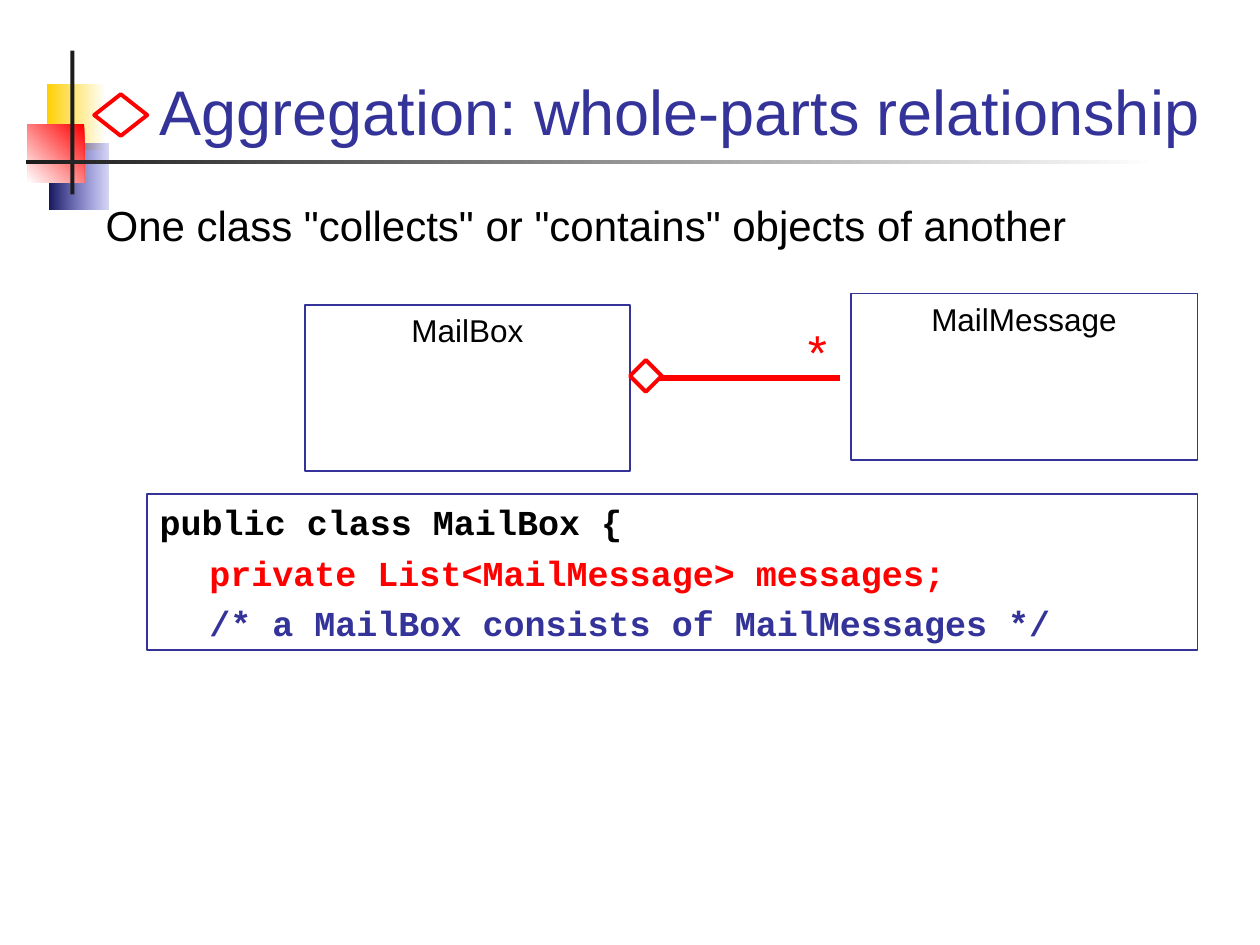
from dataclasses import dataclass

from lxml import etree
from pptx import Presentation
from pptx import util as u
from pptx.dml.color import RGBColor
from pptx.enum import shapes, text
from pptx.oxml import ns


@dataclass(frozen=True)
class Theme:
    ink: str = "000000"
    navy: str = "333399"
    red: str = "FF0000"
    white: str = "FFFFFF"
    yellow: str = "FFCF01"
    midnight: str = "17175E"
    violet: str = "3333CC"
    charcoal: str = "1C1C1C"
    sans: str = "Arial"
    mono: str = "Courier New"
    title: int = 36
    body: int = 24
    star: int = 28
    code: int = 20
    label: int = 18
    border: float = 1
    diamond: float = 2.25
    link: float = 3


class SlideBuilder:
    def __init__(self, slide, theme):
        self.slide = slide
        self.theme = theme

    def shape(self, place, kind=shapes.MSO_SHAPE.RECTANGLE, fill=None, line=None, weight=1):
        item = self.slide.shapes.add_shape(kind, *map(u.Cm, place))
        item.shadow.inherit = False
        if fill:
            item.fill.solid()
            item.fill.fore_color.rgb = RGBColor.from_string(fill)
        else:
            item.fill.background()
        if line:
            item.line.color.rgb = RGBColor.from_string(line)
            item.line.width = u.Pt(weight)
        else:
            item.line.fill.background()
        return item

    def gradient(self, place, start, end, angle=180, start_opacity=100):
        item = self.shape(place)
        item.fill.gradient()
        item.fill.gradient_angle = angle
        for stop, color in zip(item.fill.gradient_stops, (start, end)):
            stop.color.rgb = RGBColor.from_string(color)
        if start_opacity < 100:
            first_color = item.element.spPr.find(".//" + ns.qn("a:srgbClr"))
            alpha = etree.SubElement(first_color, ns.qn("a:alpha"))
            alpha.set("val", str(start_opacity * 1000))

    def diamond(self, place):
        self.shape(place, shapes.MSO_SHAPE.DIAMOND, self.theme.white,
                   self.theme.red, self.theme.diamond)

    def set_text(self, item, lines, size, font, align=text.PP_ALIGN.LEFT,
                 anchor=text.MSO_ANCHOR.TOP, bold=False, gap=0, left_inset=0.25):
        frame = item.text_frame
        frame.word_wrap = True
        frame.vertical_anchor = anchor
        frame.margin_left = u.Cm(left_inset)
        frame.margin_right = u.Cm(0.25)
        frame.margin_top = frame.margin_bottom = u.Cm(0.13)
        for number, (content, color, indent) in enumerate(lines):
            paragraph = frame.add_paragraph() if number else frame.paragraphs[0]
            paragraph.text = content
            paragraph.alignment = align
            if number:
                paragraph.space_before = u.Pt(gap)
            if indent:
                paragraph._p.get_or_add_pPr().set("marL", str(u.Cm(indent)))
            paragraph.font.name = font
            paragraph.font.size = u.Pt(size)
            paragraph.font.bold = bold
            paragraph.font.color.rgb = RGBColor.from_string(color)

    def label(self, place, content, size, color, **style):
        item = self.slide.shapes.add_textbox(*map(u.Cm, place))
        self.set_text(item, [(content, color, 0)], size, self.theme.sans, **style)

    def panel(self, place, lines, size, font, **style):
        item = self.shape(place, line=self.theme.navy, weight=self.theme.border)
        self.set_text(item, lines, size, font, **style)

    def class_box(self, place, name):
        self.panel(place, [(name, self.theme.ink, 0)], self.theme.label,
                   self.theme.sans, align=text.PP_ALIGN.CENTER)

    def aggregation(self, start, end, y):
        link = self.slide.shapes.add_connector(
            shapes.MSO_CONNECTOR.STRAIGHT, u.Cm(start), u.Cm(y), u.Cm(end), u.Cm(y))
        link.line.color.rgb = RGBColor.from_string(self.theme.red)
        link.line.width = u.Pt(self.theme.link)
        outline = link._element.spPr.find(ns.qn("a:ln"))
        etree.SubElement(outline, ns.qn("a:headEnd")).set("type", "diamond")
        etree.SubElement(link._element.spPr, ns.qn("a:effectLst"))


def main():
    deck = Presentation()
    deck.slide_width, deck.slide_height = u.Cm(25.4), u.Cm(19.05)
    theme = Theme()
    page = SlideBuilder(deck.slides.add_slide(deck.slide_layouts[6]), theme)

    page.gradient((0.94, 1.7, 1.19, 1.32), theme.white, theme.yellow)
    page.gradient((0.99, 2.9, 1.19, 1.32), theme.violet, theme.midnight, start_opacity=20)
    page.gradient((0.56, 2.51, 1.14, 1.17), theme.red, theme.white, angle=225)
    page.shape((1.42, 1.02, 0.08, 2.9), fill=theme.charcoal)
    page.gradient((0.53, 3.23, 22.83, 0.08), theme.white, theme.charcoal)

    page.label((1.7, 0.71, 23.06, 2.41), "Aggregation: whole-parts relationship",
               theme.title, theme.navy, align=text.PP_ALIGN.CENTER,
               anchor=text.MSO_ANCHOR.BOTTOM, left_inset=1.19)
    page.label((1.88, 3.89, 22, 1.83),
               'One class "collects" or "contains" objects of another',
               theme.body, theme.ink)

    page.class_box((6.15, 6.15, 6.55, 3.35), "MailBox")
    page.class_box((17.15, 5.92, 6.99, 3.35), "MailMessage")
    page.aggregation(12.9, 16.94, 7.62)

    code = [
        ("public class MailBox {", theme.ink, 0),
        ("private List<MailMessage> messages;", theme.red, 1),
        ("/* a MailBox consists of MailMessages */", theme.navy, 1),
    ]
    page.panel((2.97, 9.96, 21.17, 3.15), code, theme.code, theme.mono, bold=True, gap=5)

    page.label((14.81, 6.35, 2.11, 1.45), "*", theme.star, theme.red,
               align=text.PP_ALIGN.RIGHT)
    page.diamond((12.7, 7.26, 0.64, 0.64))
    page.diamond((1.9, 1.9, 1.07, 0.84))

    deck.save("out.pptx")


if __name__ == "__main__":
    main()
